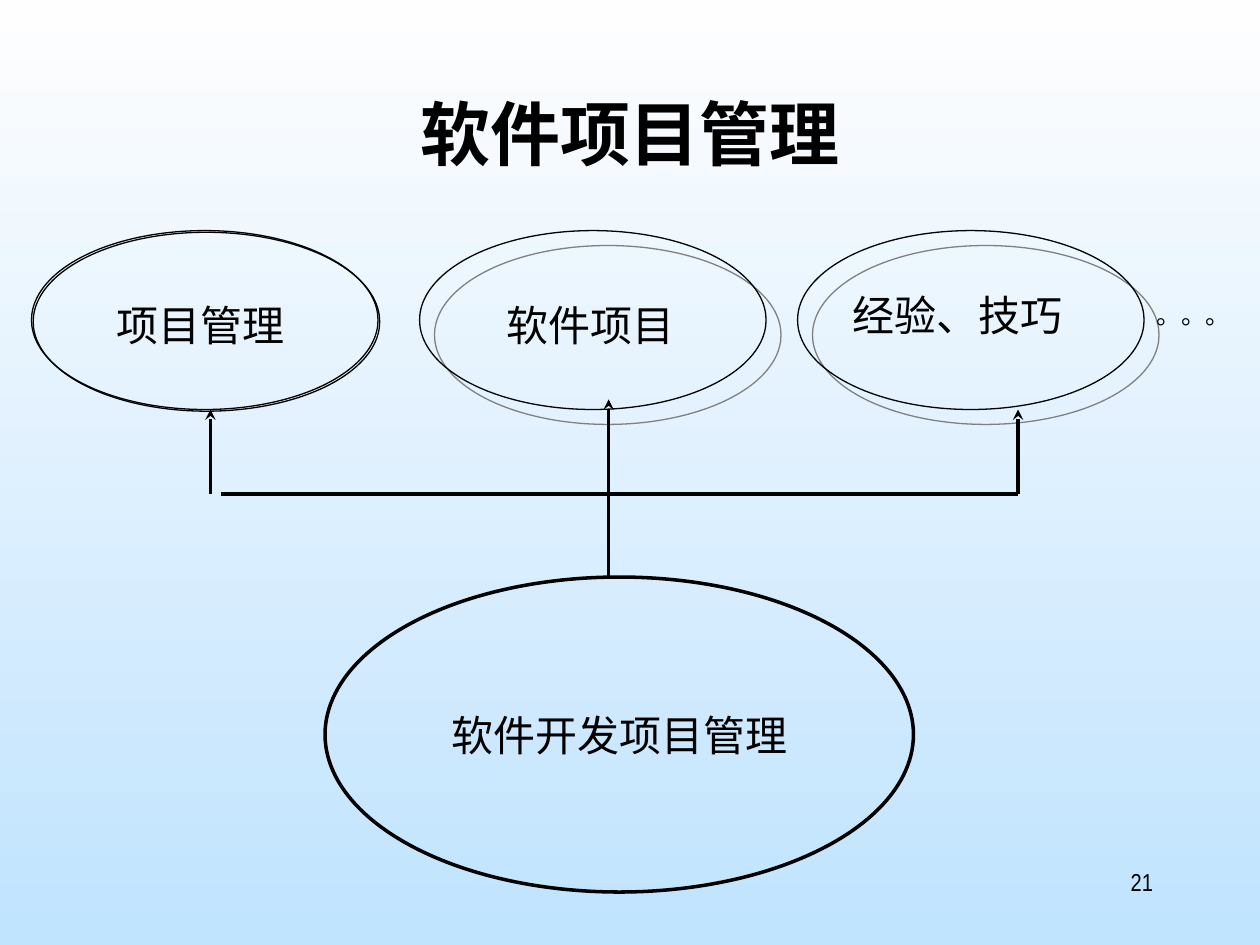
import pptx
import pptx.util
import pptx.dml.color
import pptx.enum.shapes
import pptx.enum.text
import pptx.oxml
import pptx.oxml.ns
import lxml.etree

Inches = pptx.util.Inches
Pt = pptx.util.Pt
RGBColor = pptx.dml.color.RGBColor
ALIGN = pptx.enum.text.PP_ALIGN
ANCHOR = pptx.enum.text.MSO_ANCHOR
qn = pptx.oxml.ns.qn

BLACK = RGBColor(0, 0, 0)
WHITE = RGBColor(0xFE, 0xFE, 0xFE)
GREY = RGBColor(0x80, 0x80, 0x80)
BLUE = RGBColor(0xC0, 0xE3, 0xFE)
LATIN = "Arial Narrow"
HAN = "Noto Sans CJK SC"


def sub(node, tag, **attrs):
    """Append a child element with the given attributes."""
    child = lxml.etree.SubElement(node, qn(tag))
    for key, val in attrs.items():
        child.set(key, str(val))
    return child


def write(frame, words, size, align=ALIGN.LEFT, font=LATIN, bold=False):
    """Put one run of text into a frame."""
    para = frame.paragraphs[0]
    para.alignment = align
    run = para.add_run()
    run.text = words
    run.font.size = Pt(size)
    run.font.name = font
    run.font.bold = bold
    run.font.color.rgb = BLACK
    sub(run.font._element, "a:ea", typeface=HAN)


def add_label(slide, words, box, size=24, align=ALIGN.LEFT):
    frame = slide.shapes.add_textbox(*map(Inches, box)).text_frame
    frame.word_wrap = True
    frame.vertical_anchor = ANCHOR.TOP
    write(frame, words, size, align)


def add_oval(slide, box, width):
    oval = slide.shapes.add_shape(
        pptx.enum.shapes.MSO_SHAPE.OVAL, *map(Inches, box))
    oval.shadow.inherit = False
    oval.fill.background()
    oval.line.color.rgb = BLACK
    oval.line.width = Pt(width)
    return oval


def cast(oval, color, dist):
    """Give an oval a sharp shadow to the lower right."""
    effects = oval._element.spPr.find(qn("a:effectLst"))
    shade = sub(effects, "a:outerShdw", dist=int(Pt(dist)),
                dir=45 * 60000, algn="ctr", rotWithShape=0)
    sub(shade, "a:srgbClr", val=color)


def add_line(slide, start, end, arrow=False):
    line = slide.shapes.add_connector(
        pptx.enum.shapes.MSO_CONNECTOR.STRAIGHT,
        *map(Inches, start + end))
    line.line.color.rgb = BLACK
    line.line.width = Pt(2)
    if arrow:
        sub(line.line._get_or_add_ln(), "a:tailEnd", type="stealth")
    sub(line._element.spPr, "a:effectLst")


def paint(slide):
    """Fade the background from white down to blue."""
    fill = slide.background.fill
    fill.gradient()
    fill.gradient_angle = 270
    for stop, color, place in zip(fill.gradient_stops, (WHITE, BLUE), (0, 1)):
        stop.color.rgb = color
        stop.position = place


def add_title(slide, words):
    title = slide.shapes.title
    title.left, title.top, title.width, title.height = map(
        Inches, (0.75, 0.67, 8.5, 1.25))
    frame = title.text_frame
    frame.auto_size = pptx.enum.text.MSO_AUTO_SIZE.NONE
    frame.vertical_anchor = ANCHOR.TOP
    write(frame, words, 40, ALIGN.CENTER, HAN, True)


def main():
    deck = pptx.Presentation()
    deck.slide_width, deck.slide_height = Inches(10), Inches(7.5)
    slide = deck.slides.add_slide(deck.slide_layouts[5])
    paint(slide)
    add_title(slide, "软件项目管理")

    # Main topic
    topic = add_oval(slide, (2.58, 4.58, 4.67, 2.5), 2)
    frame = topic.text_frame
    frame.word_wrap = False
    frame.vertical_anchor = ANCHOR.MIDDLE
    write(frame, "软件开发项目管理", 24, ALIGN.CENTER)

    # Three fields: oval left, shadow, label and its box
    fields = (
        (0.25, BLACK, 1.4, "项目管理", (0.83, 2.33, 1.75, 0.5)),
        (3.33, GREY, 12.1, "软件项目", (3.92, 2.33, 1.75, 0.5)),
        (6.33, GREY, 12.1, "经验、技巧", (6.67, 2.25, 2.08, 0.5)),
    )
    for left, color, dist, words, box in fields:
        cast(add_oval(slide, (left, 1.83, 2.75, 1.42), 0.75), color, dist)
        add_label(slide, words, box)
    add_label(slide, "。。。", (9.08, 2.33, 0.92, 0.34), 14)

    # Crossbar and arrows up to the fields
    bar = 3.92
    add_line(slide, (1.75, bar), (8.08, bar))
    for x, base, tip in ((4.83, 4.58, 3.17), (1.67, bar, 3.25),
                         (8.08, bar, 3.25)):
        add_line(slide, (x, base), (x, tip), True)

    # Page number
    add_label(slide, "21", (7.17, 6.83, 2.08, 0.5), 14, ALIGN.RIGHT)
    deck.save("out.pptx")


if __name__ == "__main__":
    main()
